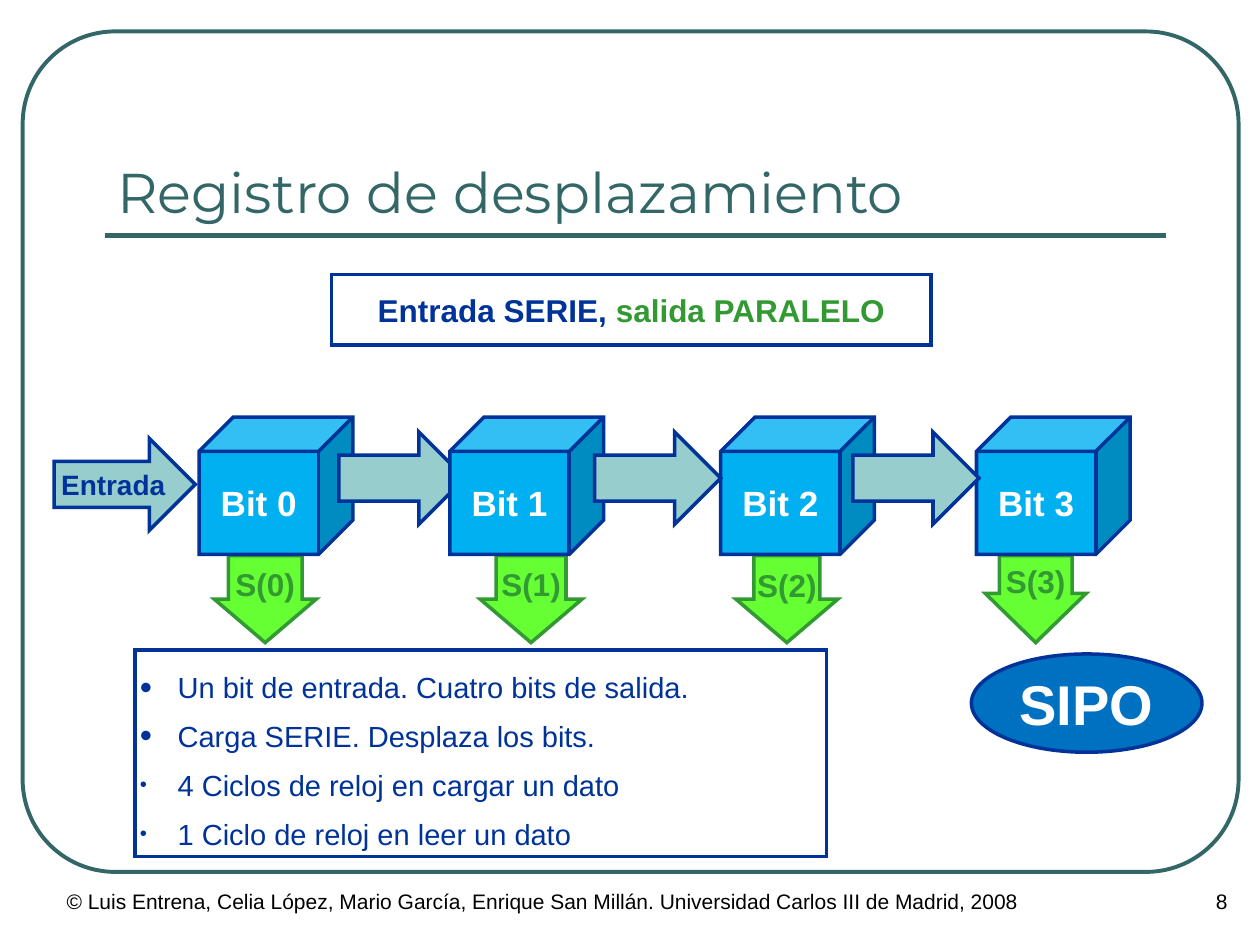
from lxml.etree import SubElement
from pptx import Presentation
from pptx.dml.color import RGBColor
from pptx.enum.shapes import MSO_CONNECTOR, MSO_SHAPE
from pptx.enum.text import MSO_ANCHOR, MSO_AUTO_SIZE, PP_ALIGN
from pptx.oxml.ns import qn
from pptx.util import Inches, Pt

COLORS = {
    "teal": "336666", "navy": "003399", "green": "339933", "lime": "66FF33",
    "cyan": "00B0F0", "aqua": "97CDCC", "blue": "0070C0",
    "white": "FFFFFF", "black": "000000",
}
TITLE = "Registro de desplazamiento"
HEADING = [("Entrada SERIE, ", "navy"), ("salida PARALELO", "green")]
NOTES = [
    ("Un bit de entrada. Cuatro bits de salida.", 120),
    ("Carga SERIE. Desplaza los bits.", 120),
    ("4 Ciclos de reloj en cargar un dato", 70),
    ("1 Ciclo de reloj en leer un dato", 70),
]
CREDIT = ("© Luis Entrena, Celia López, Mario García, Enrique San Millán. "
          "Universidad Carlos III de Madrid, 2008")
PAGE_NUMBER = "8"
OUTPUTS = [(1.7, 0.81, 0.722, 0.5), (3.81, 0.81, 0.685, 0.5),
           (5.84, 0.81, 0.648, 0.5), (7.82, 0.8, 0.722, 0.565)]
BIT_LEFTS = [1.58, 3.57, 5.72, 7.75]
SHIFT_LEFTS = [2.69, 4.72, 6.77]

BOX_FORMAT = {"margin_left": Inches(0.1), "margin_right": Inches(0.1),
              "margin_top": Inches(0.05), "margin_bottom": Inches(0.05),
              "auto_size": MSO_AUTO_SIZE.NONE}


def apply(target, values):
    for name, value in values.items():
        setattr(target, name, value)


def color(name):
    return RGBColor.from_string(COLORS[name])


def add_text(paragraph, runs, size, bold=False, font="Arial"):
    for text, color_name in runs:
        run = paragraph.add_run()
        run.text = text
        apply(run.font, {"name": font, "size": Pt(size), "bold": bold})
        run.font.color.rgb = color(color_name)


def add_block(slide, kind, box, fill, line="navy", runs=(), size=18,
              adjustments=(), width=2):
    shape = slide.shapes.add_shape(kind, *map(Inches, box))
    shape.shadow.inherit = False
    for index, value in enumerate(adjustments):
        shape.adjustments[index] = value
    if fill:
        shape.fill.solid()
        shape.fill.fore_color.rgb = color(fill)
    else:
        shape.fill.background()
    shape.line.color.rgb = color(line)
    shape.line.width = Pt(width)
    SubElement(shape.element.spPr.find(qn("a:ln")), qn("a:miter"), lim="800000")
    apply(shape.text_frame, {**BOX_FORMAT, "word_wrap": False,
                             "vertical_anchor": MSO_ANCHOR.MIDDLE})
    if runs:
        paragraph = shape.text_frame.paragraphs[0]
        paragraph.alignment = PP_ALIGN.CENTER
        add_text(paragraph, runs, size, bold=True)
    return shape


def add_footer(slide, text, box, alignment):
    frame = slide.shapes.add_textbox(*map(Inches, box)).text_frame
    apply(frame, {**BOX_FORMAT, "word_wrap": True})
    frame.paragraphs[0].alignment = alignment
    add_text(frame.paragraphs[0], [(text, "black")], 12)


def add_bullet(paragraph, percent):
    properties = paragraph._p.get_or_add_pPr()
    properties.set("marL", str(Inches(0.3)))
    properties.set("indent", str(-Inches(0.3)))
    bullet_color = SubElement(properties, qn("a:buClr"))
    SubElement(bullet_color, qn("a:srgbClr"), val=COLORS["navy"])
    SubElement(properties, qn("a:buSzPct"), val=str(percent * 1000))
    SubElement(properties, qn("a:buFont"), typeface="Arial")
    SubElement(properties, qn("a:buChar"), char="•")


def add_notes_box(slide):
    shape = add_block(slide, MSO_SHAPE.RECTANGLE, (1.07, 5.16, 5.49, 1.64), "white")
    frame = shape.text_frame
    apply(frame, {"word_wrap": True, "margin_left": Inches(0.04),
                  "margin_right": Inches(0.12)})
    for index, (text, percent) in enumerate(NOTES):
        paragraph = frame.add_paragraph() if index else frame.paragraphs[0]
        add_bullet(paragraph, percent)
        apply(paragraph, {"alignment": PP_ALIGN.JUSTIFY, "line_spacing": 1.4})
        add_text(paragraph, [(text, "navy")], 16.6)


def add_frame_and_title(slide):
    add_block(slide, MSO_SHAPE.ROUNDED_RECTANGLE, (0.18, 0.25, 9.65, 6.67), None,
              "teal", adjustments=[0.11], width=2.25)
    rule = slide.shapes.add_connector(
        MSO_CONNECTOR.STRAIGHT, *map(Inches, (0.83, 1.87, 9.25, 1.87)))
    rule.line.color.rgb = color("teal")
    rule.line.width = Pt(3)
    SubElement(rule._element.spPr, qn("a:effectLst"))
    title = slide.shapes.title
    apply(title, {"left": Inches(0.83), "top": Inches(0.58),
                  "width": Inches(8.42), "height": Inches(1.25)})
    apply(title.text_frame, {**BOX_FORMAT, "word_wrap": True,
                             "vertical_anchor": MSO_ANCHOR.BOTTOM})
    paragraph = title.text_frame.paragraphs[0]
    paragraph.alignment = PP_ALIGN.LEFT
    add_text(paragraph, [(TITLE, "teal")], 32, font="Montserrat")


def add_register(slide):
    for index, (left, width, *adjustments) in enumerate(OUTPUTS):
        add_block(slide, MSO_SHAPE.DOWN_ARROW, (left, 4.41, width, 0.69), "lime",
                  "green", [(f"S({index})", "green")], 18, adjustments)

    def add_bit(index):
        add_block(slide, MSO_SHAPE.CUBE, (BIT_LEFTS[index], 3.31, 1.22, 1.09),
                  "cyan", runs=[(f"Bit {index}", "white")], size=20)

    def add_shift(index):
        add_block(slide, MSO_SHAPE.RIGHT_ARROW,
                  (SHIFT_LEFTS[index], 3.43, 1, 0.73), "aqua")

    add_bit(0)
    add_block(slide, MSO_SHAPE.RIGHT_ARROW, (0.43, 3.48, 1.12, 0.73), "aqua",
              runs=[("Entrada", "navy")], size=16)
    add_shift(0)
    for index in (1, 2, 3):
        add_bit(index)
    for index in (1, 2):
        add_shift(index)


def main():
    presentation = Presentation()
    apply(presentation, {"slide_width": Inches(10), "slide_height": Inches(7.5)})
    slide = presentation.slides.add_slide(presentation.slide_layouts[5])
    add_frame_and_title(slide)
    add_footer(slide, CREDIT, (0.43, 7, 8.5, 0.5), PP_ALIGN.LEFT)
    add_footer(slide, PAGE_NUMBER, (8.94, 7, 0.9, 0.5), PP_ALIGN.RIGHT)
    add_notes_box(slide)
    add_block(slide, MSO_SHAPE.RECTANGLE, (2.63, 2.18, 4.76, 0.56), "white",
              runs=HEADING)
    add_register(slide)
    add_block(slide, MSO_SHAPE.OVAL, (7.71, 5.19, 1.83, 0.78), "blue",
              runs=[("SIPO", "white")], size=32)
    presentation.save("out.pptx")


if __name__ == "__main__":
    main()
